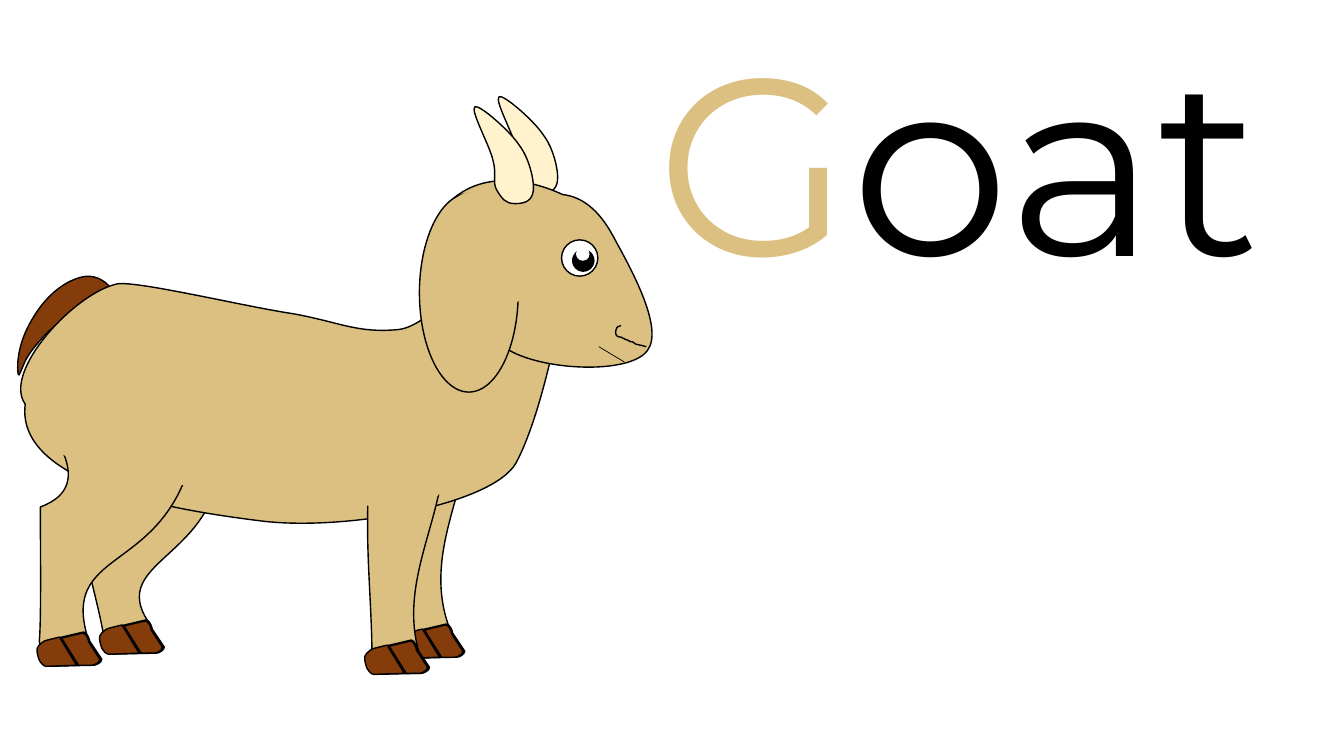
import pptx
import pptx.dml.color
import pptx.enum.shapes
import pptx.enum.text
import pptx.oxml
import pptx.oxml.ns
import pptx.util
from pptx.util import Inches

COLORS = {"coat": "DCC081", "hoof": "843C0B", "horn": "FFF2CC", "black": "000000", "white": "FFFFFF"}

# Outlines in slide inches: M start, L lines, C cubic curves, Z closed.
TAIL = """M 0.86,2.74 C 0.68,2.76 0.47,2.91 0.33,3.15 0.21,3.34 0.16,3.55 0.18,3.71 L 0.19,3.72 0.23,3.63
C 0.26,3.55 0.31,3.48 0.37,3.41 0.6,3.12 0.93,3 1.1,3.13 L 1.14,3.18 1.15,3.09
C 1.15,2.95 1.11,2.83 1.01,2.78 0.97,2.75 0.91,2.74 0.86,2.74 Z"""
FRONT_LEG = """M 4.67,4.15 C 4.67,4.1 4.42,4.08 4.37,4.08 L 4.05,4.08
C 4,4.08 3.96,4.12 3.96,4.16 3.86,4.89 3.96,5.53 3.96,6.21 3.96,6.26 4,6.29 4.05,6.29 L 4.37,6.29
C 4.42,6.29 4.45,6.26 4.45,6.21 4.19,5.47 4.67,4.83 4.67,4.15 Z"""
FAR_HIND_LEG = """M 2.17,4.22 C 2.16,4.18 1.04,4.4 0.99,4.41 L 0.68,4.48
C 0.63,4.49 0.61,4.53 0.61,4.57 0.67,4.71 1.37,5.01 0.8,5.33 0.87,5.62 1.01,6.15 1.03,6.32
1.04,6.36 1.08,6.39 1.12,6.38 L 1.44,6.3 C 1.48,6.29 1.51,6.25 1.5,6.21 0.98,5.5 2.37,5.57 2.17,4.22 Z"""
NEAR_HIND_LEG = """M 1.98,4.03 C 1.98,3.98 0.84,3.92 0.8,3.92 L 0.47,3.92
C 0.43,3.92 0.39,3.96 0.39,4.02 0.41,4.21 1.02,4.8 0.4,5.03 0.4,5.42 0.41,6.13 0.39,6.36
0.39,6.41 0.43,6.45 0.47,6.45 L 0.8,6.45 C 0.84,6.45 0.88,6.41 0.88,6.36 0.54,5.31 1.87,5.81 1.98,4.03 Z"""
HORN = """M 5.53,1.79 C 5.54,1.69 5.49,1.47 5.39,1.34 5.3,1.2 4.99,0.93 4.95,0.96
4.9,0.99 5.1,1.35 5.13,1.49 5.17,1.63 5.12,1.71 5.17,1.79 5.22,1.87 5.25,1.92 5.35,1.92
5.45,1.92 5.52,1.89 5.53,1.79 Z"""
BODY = """M 5.12,4.59 C 5.35,4.16 5.53,3.29 5.57,3.01 5.6,2.72 5.33,2.56 5.1,2.57
4.9,2.33 4.35,3.23 3.95,3.27 3.54,3.31 3.35,3.19 2.89,3.11 2.42,3.04 1.3,2.77 1.15,2.82
0.73,2.92 0.02,3.69 0.25,4.01 0.15,4.82 1.79,5.07 2.6,5.17 3.42,5.27 4.89,5.01 5.12,4.59 Z"""
HEAD = """M 6.42,3.48 C 6.6,3.25 6.22,2.6 6.08,2.34 5.94,2.08 5.77,1.95 5.58,1.93
5.39,1.84 4.77,1.6 4.38,2.09 4.33,2.29 4.67,3.22 5.01,3.45 5.35,3.68 6.24,3.72 6.42,3.48 Z"""
NOSE = """M 6.41,3.44 C 6.39,3.43 6.36,3.43 6.33,3.42 6.28,3.41 6.31,3.41 6.27,3.39
6.27,3.39 6.26,3.39 6.25,3.39 6.24,3.38 6.22,3.37 6.21,3.37 6.21,3.37 6.2,3.37 6.19,3.36
6.14,3.34 6.19,3.35 6.13,3.34 6.12,3.33 6.11,3.33 6.11,3.32 6.1,3.3 6.11,3.25 6.13,3.24
6.14,3.23 6.15,3.23 6.16,3.23"""
HOOF_BASE = """M 0.89,6.36 C 0.89,6.34 0.86,6.27 0.83,6.27 L 0.49,6.35
C 0.47,6.35 0.41,6.39 0.4,6.42 0.38,6.46 0.4,6.52 0.42,6.55 0.43,6.58 0.45,6.61 0.48,6.61
L 0.93,6.6 C 0.96,6.6 1.01,6.57 1.01,6.54 L 0.89,6.36 Z"""
FRONT_TOE = """M 0.82,6.28 L 0.61,6.33 0.78,6.6 0.91,6.6 C 0.94,6.6 0.99,6.57 0.99,6.54
L 0.88,6.37 C 0.88,6.34 0.85,6.28 0.82,6.28 Z"""
BACK_TOE = """M 0.59,6.32 L 0.47,6.35 C 0.44,6.35 0.38,6.4 0.37,6.43 0.36,6.46 0.38,6.52 0.39,6.55
0.41,6.58 0.43,6.61 0.46,6.61 L 0.76,6.6 0.59,6.32 Z"""


def rgb(name):
    return pptx.dml.color.RGBColor.from_string(COLORS[name])


def paint(shape, fill, line="black"):
    shape.shadow.inherit = False
    if fill:
        shape.fill.solid()
        shape.fill.fore_color.rgb = rgb(fill)
    else:
        shape.fill.background()
    shape.line.color.rgb = rgb(line)
    shape.line.width = pptx.util.Pt(1)


def add_outline(shapes, outline, fill, shift=(0, 0)):
    """Draw an outline, turning each three points after a C into one curve."""
    points, kinds, kind = [], [], None
    for token in outline.split():
        if token.isalpha():
            kind = token
        else:
            x, y = map(float, token.split(","))
            points.append((Inches(x + shift[0]), Inches(y + shift[1])))
            kinds.append(kind)
    builder = shapes.build_freeform(*points[0], scale=1.0)
    builder.add_line_segments(points[1:], close=kind == "Z")
    shape = builder.convert_to_shape()

    segments = list(shape._element.iter(pptx.oxml.ns.qn("a:lnTo")))
    position = 0
    while position < len(segments):
        if kinds[position + 1] == "L":
            position += 1
            continue
        first, *others = segments[position:position + 3]
        first.tag = pptx.oxml.ns.qn("a:cubicBezTo")
        for other in others:
            first.append(other[0])
            other.getparent().remove(other)
        position += 3
    paint(shape, fill)


def add_ellipse(shapes, left, top, width, height, fill, line="black", rotation=0):
    oval = shapes.add_shape(pptx.enum.shapes.MSO_SHAPE.OVAL,
                            Inches(left), Inches(top), Inches(width), Inches(height))
    oval.rotation = rotation
    paint(oval, fill, line)


def add_line(shapes, start, end, width):
    line = shapes.add_connector(pptx.enum.shapes.MSO_CONNECTOR.STRAIGHT,
                                *map(Inches, start), *map(Inches, end))
    line.line.color.rgb = rgb("black")
    line.line.width = pptx.util.Pt(width)
    pptx.oxml.ns.qn("a:effectLst")
    line._element.spPr.append(pptx.oxml.parse_xml(
        f'<a:effectLst {pptx.oxml.ns.nsdecls("a")}/>'))


def add_hoof(shapes, shift):
    for outline, fill in ((HOOF_BASE, "black"), (FRONT_TOE, "hoof"), (BACK_TOE, "hoof")):
        add_outline(shapes, outline, fill, shift)


def add_span(para, text, size, color, font="Montserrat", outline=None):
    """Add formatted text; outline is a line width in points."""
    span = para.add_run()
    span.text = text
    span.font.name = font
    span.font.size = pptx.util.Pt(size)
    span.font.color.rgb = rgb(color)
    if outline:
        span.font._element.insert(0, pptx.oxml.parse_xml(
            f'<a:ln {pptx.oxml.ns.nsdecls("a")} w="{pptx.util.Pt(outline)}"><a:solidFill>'
            f'<a:srgbClr val="{COLORS["black"]}"/></a:solidFill></a:ln>'))


def add_title(page):
    box = page.shapes.add_textbox(Inches(6.41), Inches(0), Inches(6.93), Inches(3.13))
    box.text_frame.word_wrap = True
    box.text_frame.auto_size = pptx.enum.text.MSO_AUTO_SIZE.SHAPE_TO_FIT_TEXT
    para = box.text_frame.paragraphs[0]
    add_span(para, "G", size=180, color="coat", outline=0.75)
    add_span(para, "oat", size=180, color="black")


def add_goat(page):
    shapes = page.shapes.add_group_shape().shapes
    add_outline(shapes, TAIL, "hoof")
    add_outline(shapes, FRONT_LEG, "coat")
    add_outline(shapes, FAR_HIND_LEG, "coat")
    add_outline(shapes, HORN, "horn")
    add_outline(shapes, BODY, "coat")
    add_outline(shapes, NEAR_HIND_LEG, "coat")
    for shift in ((0, 0), (0.62, -0.12), (3.6, -0.08)):
        add_hoof(shapes, shift)
    add_outline(shapes, FRONT_LEG, "coat", shift=(-0.27, 0.34))
    add_hoof(shapes, (3.25, 0.08))

    add_outline(shapes, HEAD, "coat")
    add_outline(shapes, NOSE, None)
    add_line(shapes, (6.19, 3.59), (5.94, 3.44), width=0.5)
    add_ellipse(shapes, 4.16, 1.92, 0.98, 1.97, "coat")
    add_outline(shapes, HORN, "horn", shift=(-0.24, 0.1))

    # Coat patches hide the joins of ear and legs.
    add_ellipse(shapes, 4.53, 1.86, 0.68, 1.19, "coat", "coat", rotation=329.5)
    add_ellipse(shapes, 3.36, 3.93, 1.09, 1.19, "coat", "coat", rotation=280.7)
    add_ellipse(shapes, 0.89, 3.05, 1.09, 2.35, "coat", "coat", rotation=280.7)

    add_ellipse(shapes, 5.57, 2.38, 0.36, 0.36, "white")
    add_ellipse(shapes, 5.68, 2.48, 0.21, 0.21, "black")
    add_ellipse(shapes, 5.72, 2.46, 0.12, 0.12, "white", "white")


def main():
    deck = pptx.Presentation()
    deck.slide_width = Inches(13.33)
    deck.slide_height = Inches(7.5)
    page = deck.slides.add_slide(deck.slide_layouts[6])
    add_title(page)
    add_goat(page)
    deck.save("out.pptx")


if __name__ == "__main__":
    main()
